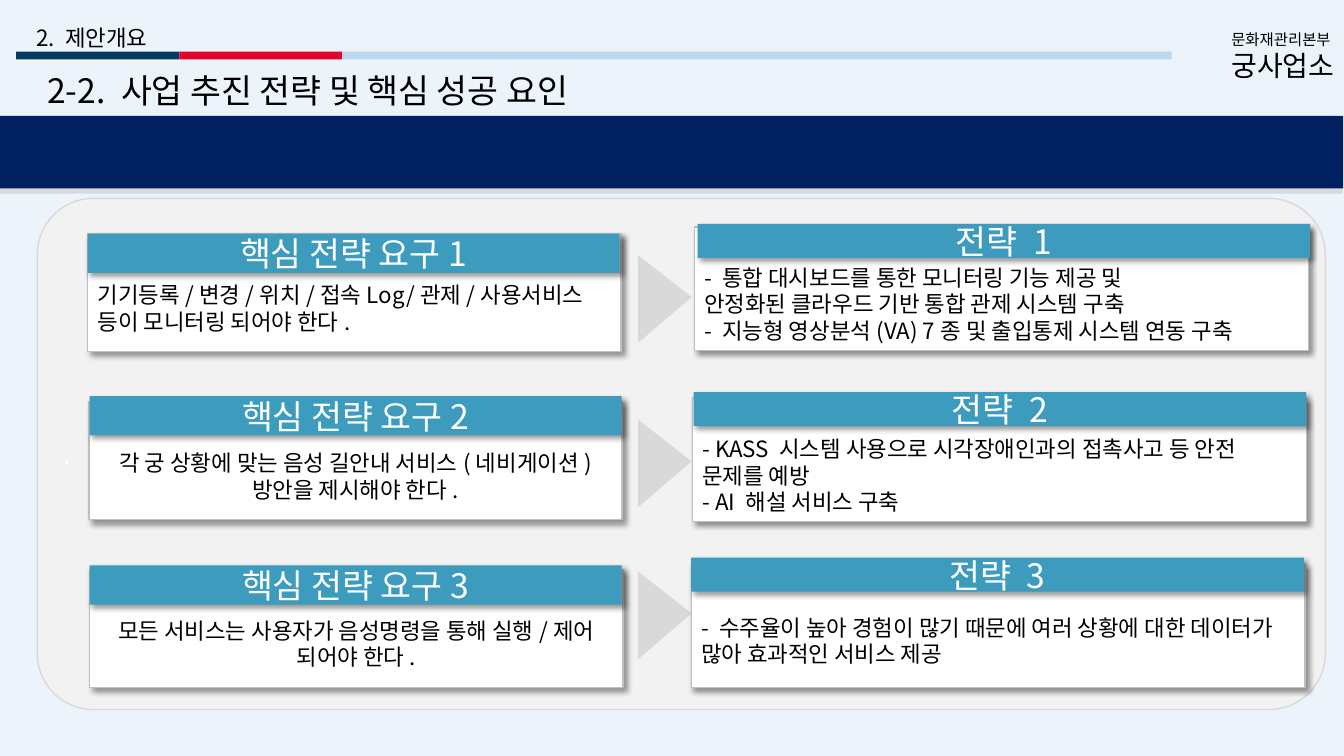
from dataclasses import dataclass

from lxml import etree
from pptx import Presentation
from pptx.dml.color import RGBColor
from pptx.enum.shapes import MSO_SHAPE
from pptx.enum.text import MSO_ANCHOR, PP_ALIGN
from pptx.oxml.ns import qn
from pptx.shapes.autoshape import Shape
from pptx.util import Cm, Pt

RECT = MSO_SHAPE.RECTANGLE
ROUND = MSO_SHAPE.ROUNDED_RECTANGLE
WEDGE = MSO_SHAPE.ISOSCELES_TRIANGLE
MIDDLE = MSO_ANCHOR.MIDDLE
LEFT = PP_ALIGN.LEFT
CENTER = PP_ALIGN.CENTER

FONT = "Noto Sans CJK KR"
BLACK = RGBColor(0x00, 0x00, 0x00)
WHITE = RGBColor(0xFF, 0xFF, 0xFF)
SKY = RGBColor(0xBD, 0xD7, 0xEE)
NAVY = RGBColor(0x00, 0x20, 0x60)
INK = RGBColor(0x05, 0x38, 0x63)
RED = RGBColor(0xE4, 0x02, 0x2E)
TEAL = RGBColor(0x3D, 0x9B, 0xBD)
PALE = RGBColor(0xF2, 0xF2, 0xF2)
LIGHT = RGBColor(0xD9, 0xD9, 0xD9)
GRAY = RGBColor(0xBF, 0xBF, 0xBF)


@dataclass(frozen=True)
class Box:
    x: float
    y: float
    w: float
    h: float


@dataclass(frozen=True)
class Bar:
    box: Box
    fill: RGBColor


@dataclass(frozen=True)
class Label:
    box: Box
    lines: tuple[str, ...]
    sizes: tuple[int, ...]
    wrap: bool


@dataclass(frozen=True)
class Card:
    head: Box
    body: Box
    title: str
    lines: tuple[str, ...]
    align: PP_ALIGN


BARS = (
    Bar(Box(-0.05, 3.05, 33.88, 1.83), LIGHT),
    Bar(Box(-0.03, 2.92, 33.88, 1.83), NAVY),
    Bar(Box(0.41, 1.3, 4.11, 0.2), INK),
    Bar(Box(4.52, 1.3, 4.11, 0.2), RED),
    Bar(Box(8.63, 1.3, 20.9, 0.2), SKY),
)

LABELS = (
    Label(Box(0.94, 1.57, 14.73, 1.27), ("2-2. 사업 추진 전략 및 핵심 성공 요인",), (24,), True),
    Label(Box(0.66, 0.42, 7.82, 0.94), ("2. 제안개요",), (16,), True),
    Label(Box(30.78, 0.56, 3.12, 1.57), ("문화재관리본부", "궁사업소"), (11, 20), False),
)

CARDS = (
    Card(Box(2.21, 5.89, 13.41, 0.99), Box(2.21, 5.89, 13.44, 2.97), "핵심 전략 요구1",
         ("기기등록/변경/위치/접속Log/관제/사용서비스 등이 모니터링 되어야 한다.",), LEFT),
    Card(Box(2.26, 9.98, 13.41, 0.99), Box(2.24, 10.13, 13.44, 2.97), "핵심 전략 요구2",
         ("각 궁 상황에 맞는 음성 길안내 서비스(네비게이션) 방안을 제시해야 한다.",), CENTER),
    Card(Box(2.26, 14.25, 13.41, 0.99), Box(2.26, 14.35, 13.44, 2.97), "핵심 전략 요구3",
         ("모든 서비스는 사용자가 음성명령을 통해 실행/제어 되어야 한다.",), CENTER),
    Card(Box(17.58, 5.64, 15.44, 0.86), Box(17.5, 5.72, 15.47, 3.12), "전략 1",
         ("- 통합 대시보드를 통한 모니터링 기능 제공 및",
          "안정화된 클라우드 기반 통합 관제 시스템 구축",
          "- 지능형 영상분석(VA) 7종 및 출입통제 시스템 연동 구축"), LEFT),
    Card(Box(17.48, 9.88, 15.44, 0.86), Box(17.45, 10.03, 15.47, 3.12), "전략 2",
         ("- KASS 시스템 사용으로 시각장애인과의 접촉사고 등 안전 문제를 예방",
          "- AI 해설 서비스 구축"), LEFT),
    Card(Box(17.42, 14.05, 15.44, 0.86), Box(17.42, 14.2, 15.47, 3.12), "전략 3",
         ("- 수주율이 높아 경험이 많기 때문에 여러 상황에 대한 데이터가 많아 효과적인 서비스 제공",), LEFT),
)

WEDGES = (6.86, 11.0, 14.83)

deck = Presentation()
deck.slide_width, deck.slide_height = Cm(33.87), Cm(19.05)
slide = deck.slides.add_slide(deck.slide_layouts[6])


def place(box: Box) -> tuple[Cm, Cm, Cm, Cm]:
    return Cm(box.x), Cm(box.y), Cm(box.w), Cm(box.h)


def draw(box: Box, fill: RGBColor, kind: MSO_SHAPE = RECT, edge: RGBColor | None = None) -> Shape:
    shape = slide.shapes.add_shape(kind, *place(box))
    shape.shadow.inherit = False
    shape.fill.solid()
    shape.fill.fore_color.rgb = fill
    if edge is None:
        shape.line.fill.background()
    else:
        shape.line.color.rgb = edge
        shape.line.width = Pt(1)
    return shape


def shade(shape: Shape) -> None:
    effects = shape._element.spPr.find(qn("a:effectLst"))
    outer = etree.SubElement(effects, qn("a:outerShdw"), blurRad=str(Pt(4)),
                             dist=str(Pt(3)), dir="2700000", algn="tl", rotWithShape="0")
    tint = etree.SubElement(outer, qn("a:srgbClr"), val=str(BLACK))
    etree.SubElement(tint, qn("a:alpha"), val="40000")


def write(shape: Shape, lines: tuple[str, ...], sizes: tuple[int, ...],
          color: RGBColor, align: PP_ALIGN = LEFT) -> None:
    frame = shape.text_frame
    frame.text = "\n".join(lines)
    for para, size in zip(frame.paragraphs, sizes):
        para.alignment = align
        para.line_spacing = Pt(round(size * 1.2, 1))
        for run in para.runs:
            run.font.size = Pt(size)
            run.font.color.rgb = color
            run.font.name = FONT
            etree.SubElement(run.font._element, qn("a:ea"), typeface=FONT)


def label(item: Label) -> None:
    shape = slide.shapes.add_textbox(*place(item.box))
    shape.text_frame.word_wrap = item.wrap
    shape.text_frame.margin_top = Cm(0.2)
    write(shape, item.lines, item.sizes, BLACK)


def card(item: Card) -> None:
    body = draw(item.body, WHITE, edge=GRAY)
    body.text_frame.margin_top = Cm(0.89)
    write(body, item.lines, (16,) * len(item.lines), BLACK, item.align)
    head = draw(item.head, TEAL)
    write(head, (item.title,), (24,), WHITE, CENTER)
    for shape in (body, head):
        shape.text_frame.vertical_anchor = MIDDLE
        shade(shape)


def main() -> None:
    back = draw(Box(0, 0, 33.91, 19.08), SKY)
    tint = back._element.spPr.find(qn("a:solidFill"))[0]
    etree.SubElement(tint, qn("a:alpha"), val="28000")
    for bar in BARS:
        draw(bar.box, bar.fill)
    for item in LABELS:
        label(item)
    panel = draw(Box(0.94, 5.0, 32.46, 12.88), PALE, ROUND, LIGHT)
    panel.adjustments[0] = 0.11
    panel.text_frame.vertical_anchor = MIDDLE
    write(panel, (".",), (18,), WHITE)
    for top in WEDGES:
        wedge = draw(Box(15.65, top, 2.21, 1.35), LIGHT, WEDGE)
        wedge.adjustments[0] = 0.48
        wedge.rotation = 90
    for item in CARDS:
        card(item)
    deck.save("out.pptx")


if __name__ == "__main__":
    main()
